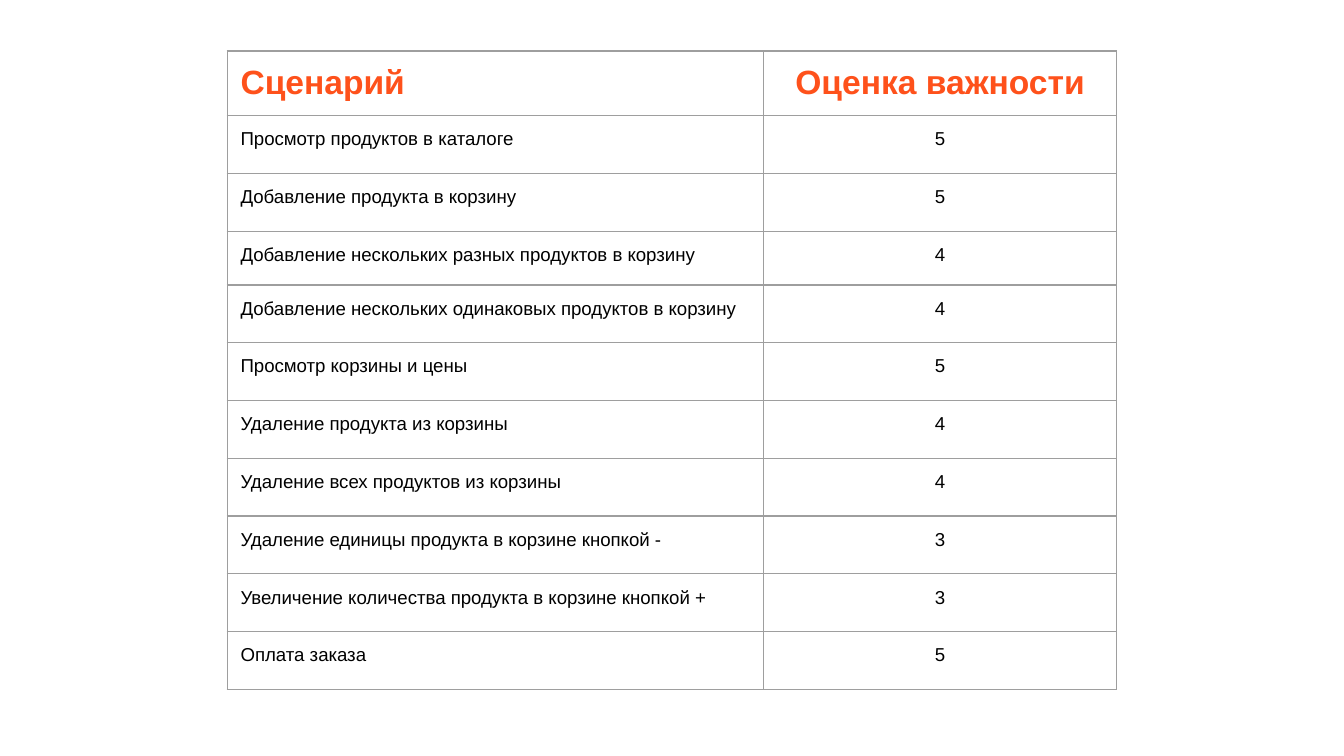
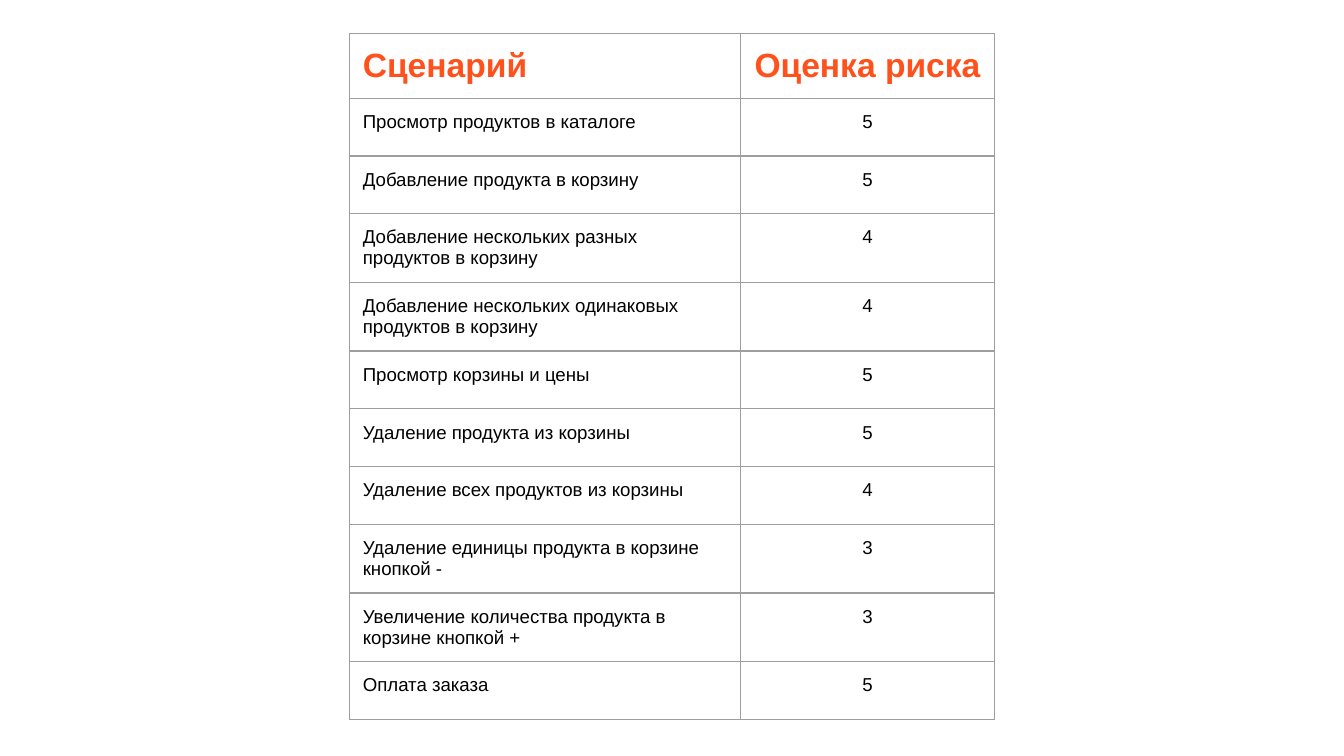
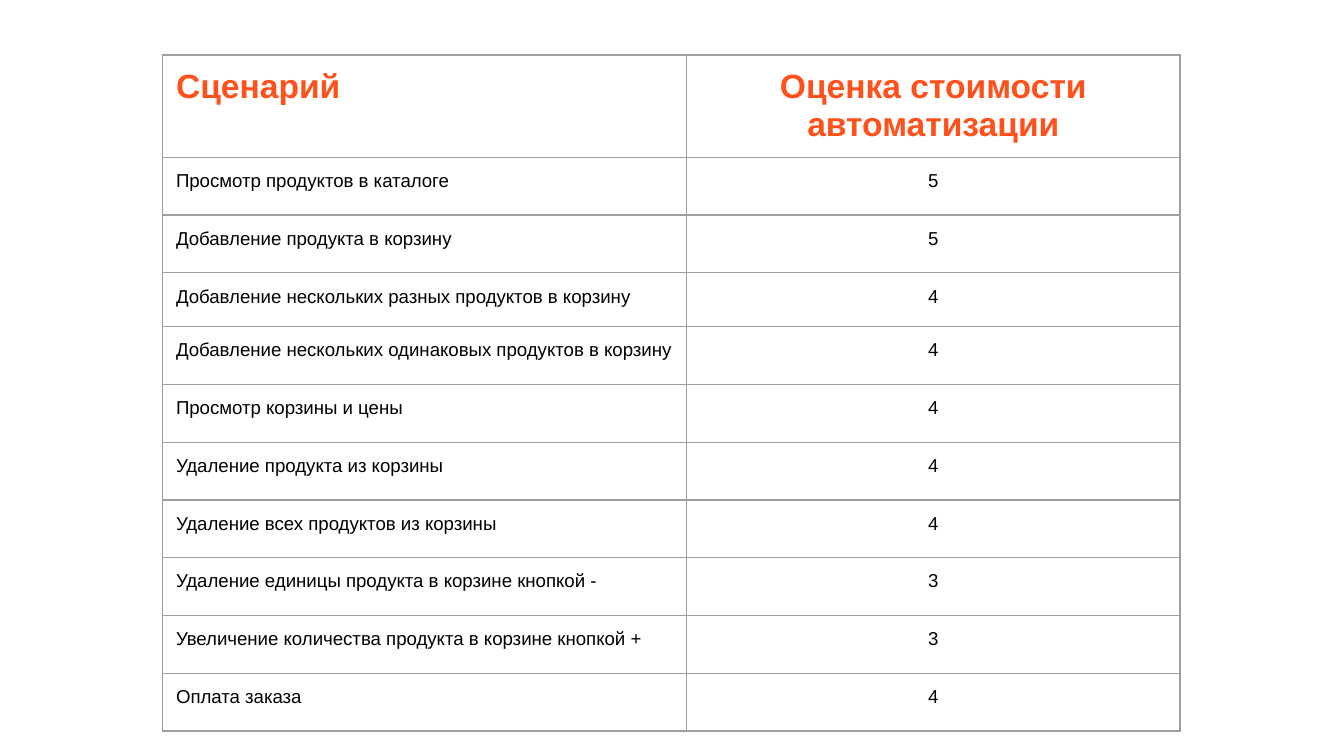
from lxml.etree import SubElement
from pptx import Presentation
from pptx.dml.color import RGBColor
from pptx.enum.text import PP_ALIGN as Align
from pptx.oxml.ns import qn
from pptx.util import Inches, Pt

ORANGE = RGBColor(0xFE, 0x51, 0x1B)
BLACK = RGBColor(0x00, 0x00, 0x00)
GREY = RGBColor(0x9E, 0x9E, 0x9E)

SCENARIOS = [
    "Просмотр продуктов в каталоге",
    "Добавление продукта в корзину",
    "Добавление нескольких разных продуктов в корзину",
    "Добавление нескольких одинаковых продуктов в корзину",
    "Просмотр корзины и цены",
    "Удаление продукта из корзины",
    "Удаление всех продуктов из корзины",
    "Удаление единицы продукта в корзине кнопкой -",
    "Увеличение количества продукта в корзине кнопкой +",
    "Оплата заказа",
]
ROW_HEIGHT = 0.43
LOW_ROW, LOW_ROW_HEIGHT = 3, 0.4

RATINGS = [
    ("Оценка важности", [5, 5, 4, 4, 5, 4, 4, 3, 3, 5], (1.69, 0.38), (3.99, 2.63)),
    ("Оценка риска", [5, 5, 4, 4, 5, 5, 4, 3, 3, 5], (2.6, 0.25), (2.91, 1.89)),
    ("Оценка стоимости автоматизации", [5, 5, 4, 4, 4, 4, 4, 3, 3, 4],
     (1.21, 0.41), (3.9, 3.67)),
]


class Deck:
    font_name = "Arial"
    padding = Inches(0.1)
    border_width = Pt(0.75)

    def __init__(self):
        self.presentation = Presentation()
        self.presentation.slide_width = Inches(10)
        self.presentation.slide_height = Inches(10 * 9 / 16)
        self.slide = None

    def new_slide(self):
        self.slide = self.presentation.slides.add_slide(self.presentation.slide_layouts[6])

    def borders(self, cell):
        properties = cell._tc.get_or_add_tcPr()
        for side in ("a:lnL", "a:lnR", "a:lnT", "a:lnB"):
            line = SubElement(properties, qn(side), w=str(int(self.border_width)))
            fill = SubElement(line, qn("a:solidFill"))
            SubElement(fill, qn("a:srgbClr"), val=str(GREY))

    def cell(self, cell, text, heading, centred):
        cell.margin_left = cell.margin_right = self.padding
        cell.margin_top = cell.margin_bottom = self.padding
        self.borders(cell)
        cell.fill.background()
        cell.text = text
        paragraph = cell.text_frame.paragraphs[0]
        paragraph.alignment = Align.CENTER if centred else Align.LEFT
        font = paragraph.font
        font.name = self.font_name
        font.size = Pt(18 if heading else 10)
        font.bold = heading
        font.color.rgb = ORANGE if heading else BLACK

    def rating_table(self, rating, scores, corner, widths):
        rows = [("Сценарий", rating), *zip(SCENARIOS, map(str, scores))]
        left, top = map(Inches, corner)
        heights = [LOW_ROW_HEIGHT if i == LOW_ROW else ROW_HEIGHT for i in range(len(rows))]
        table = self.slide.shapes.add_table(
            len(rows), len(widths), left, top,
            Inches(sum(widths)), Inches(sum(heights))).table
        table.first_row = table.horz_banding = False
        for column, width in zip(table.columns, widths):
            column.width = Inches(width)
        for r, (texts, height) in enumerate(zip(rows, heights)):
            table.rows[r].height = Inches(height)
            for c, text in enumerate(texts):
                self.cell(table.cell(r, c), text, heading=r == 0, centred=c == 1)


def main():
    deck = Deck()
    for rating in RATINGS:
        deck.new_slide()
        deck.rating_table(*rating)
    deck.presentation.save("out.pptx")


if __name__ == "__main__":
    main()
